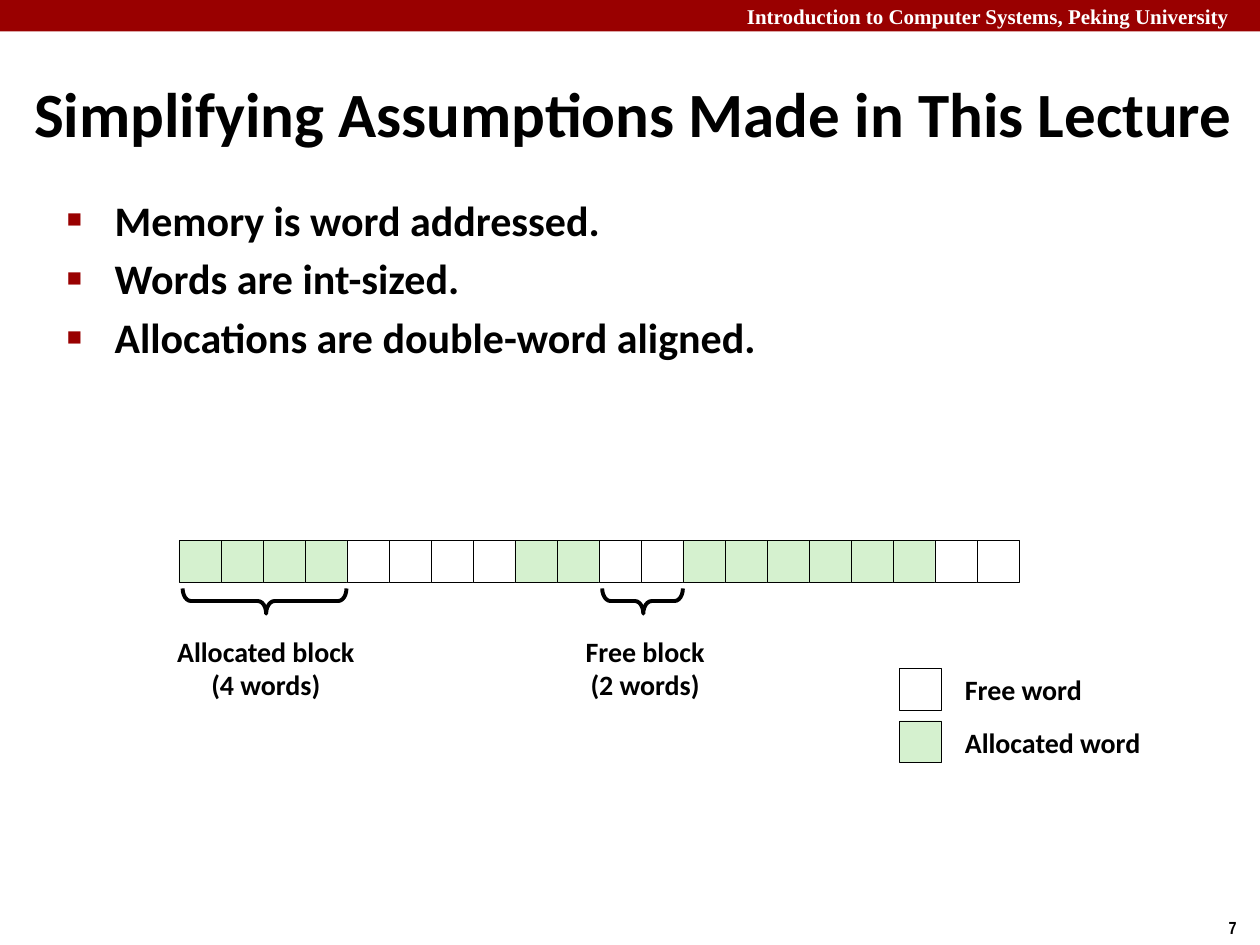
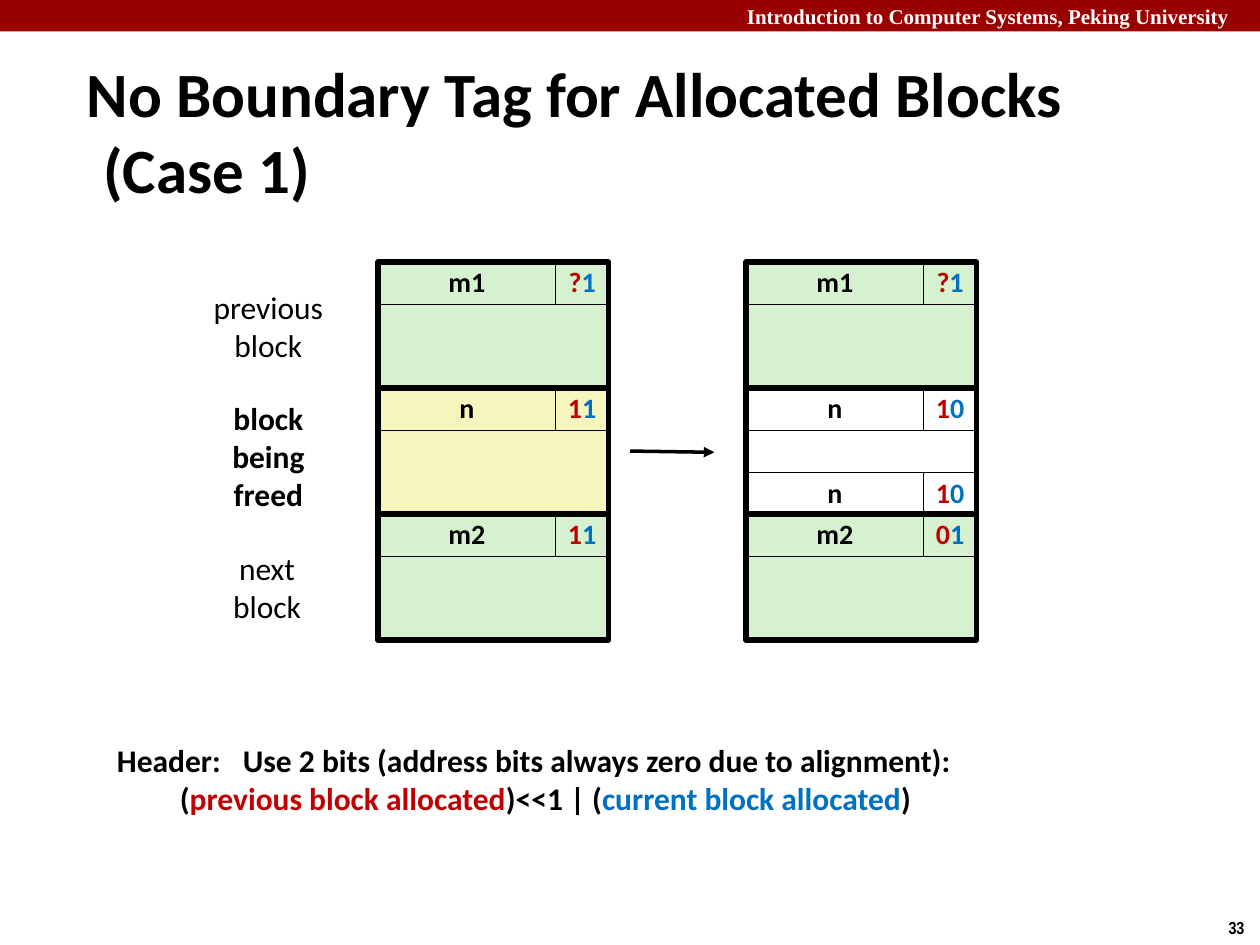
"""Build two lecture slides on memory allocation."""
from dataclasses import dataclass

from lxml import etree
from pptx import Presentation
from pptx.dml.color import RGBColor
from pptx.enum.shapes import MSO_CONNECTOR, MSO_SHAPE
from pptx.enum.text import MSO_ANCHOR, MSO_AUTO_SIZE, PP_ALIGN
from pptx.oxml.ns import qn
from pptx.util import Inches, Pt

BLACK, WHITE, CRIMSON = "000000", "FFFFFF", "990000"
GREEN, YELLOW = "D5F1CF", "F6F5BD"
PREVIOUS_BIT, CURRENT_BIT = "C00000", "0070C0"
WORD = 1 / 3
BLOCK_WIDTH, BLOCK_HEIGHT, TAG_WIDTH = 1.83, 1, 0.42
BLOCKS_TOP = 2.08


@dataclass(frozen=True)
class Box:
    left: float
    top: float
    width: float
    height: float

    def lengths(self):
        """Return the four measures as lengths."""
        return [Inches(v) for v in (self.left, self.top, self.width, self.height)]


@dataclass(frozen=True)
class Span:
    text: str
    color: str = BLACK


@dataclass(frozen=True)
class Block:
    size: str
    bits: str
    fill: str
    has_footer: bool = False


@dataclass(frozen=True)
class Caption:
    text: str
    box: Box
    bold: bool = True
    size: float = 18
    spacing: float = 1.0


def rgb(color: str) -> RGBColor:
    """Turn a hex string into a colour."""
    return RGBColor.from_string(color)


def add_spans(paragraph, spans, *, size, font, bold) -> None:
    """Fill a paragraph with coloured runs, breaking lines at newlines."""
    for span in spans:
        for i, line in enumerate(span.text.split("\n")):
            if i:
                paragraph.add_line_break()
            if line:
                run = paragraph.add_run()
                run.text = line
                run.font.size, run.font.name, run.font.bold = Pt(size), font, bold
                run.font.color.rgb = rgb(span.color)


def add_bullet(paragraph) -> None:
    """Give a paragraph a small crimson square bullet."""
    properties = paragraph._p.get_or_add_pPr()
    color = etree.SubElement(properties, qn("a:buClr"))
    etree.SubElement(color, qn("a:srgbClr"), val=CRIMSON)
    etree.SubElement(properties, qn("a:buSzPct"), val="60000")
    etree.SubElement(properties, qn("a:buChar"), char="■")


def write(frame, *paragraphs, size=16, font="Calibri", color=BLACK, bold=True,
          align=PP_ALIGN.LEFT, anchor=MSO_ANCHOR.TOP, spacing=1.0, before=0,
          hanging=0.0, bullet=False, inset=0.1) -> None:
    """Write paragraphs, each a string or a tuple of spans, into a frame."""
    frame.auto_size = MSO_AUTO_SIZE.NONE
    frame.word_wrap = align != PP_ALIGN.CENTER
    frame.vertical_anchor = anchor
    frame.margin_left = frame.margin_right = Inches(inset)
    frame.margin_top = frame.margin_bottom = Inches(inset / 2)
    for i, content in enumerate(paragraphs):
        paragraph = frame.add_paragraph() if i else frame.paragraphs[0]
        if bullet:
            add_bullet(paragraph)
        if hanging:
            properties = paragraph._p.get_or_add_pPr()
            properties.set("marL", str(Inches(hanging)))
            properties.set("indent", str(-Inches(hanging)))
        paragraph.alignment = align
        paragraph.line_spacing = spacing
        paragraph.space_before = Pt(before if i else 0)
        spans = (Span(content, color),) if isinstance(content, str) else content
        add_spans(paragraph, spans, size=size, font=font, bold=bold)


def add_text(slide, box: Box, *paragraphs, **text_format) -> None:
    """Add a text box."""
    write(slide.shapes.add_textbox(*box.lengths()).text_frame, *paragraphs, **text_format)


def add_box(slide, box: Box, fill=None, line=BLACK, weight=0.25,
            kind=MSO_SHAPE.RECTANGLE):
    """Add a flat preset shape."""
    shape = slide.shapes.add_shape(kind, *box.lengths())
    shape.shadow.inherit = False
    if fill:
        shape.fill.solid()
        shape.fill.fore_color.rgb = rgb(fill)
    else:
        shape.fill.background()
    if line:
        shape.line.color.rgb = rgb(line)
        shape.line.width = Pt(weight)
    else:
        shape.line.fill.background()
    return shape


def add_arrow(slide, start, end) -> None:
    """Add a line with an arrowhead at its end."""
    arrow = slide.shapes.add_connector(
        MSO_CONNECTOR.STRAIGHT, *(Inches(v) for v in (*start, *end)))
    arrow.line.color.rgb = rgb(BLACK)
    arrow.line.width = Pt(2)
    etree.SubElement(arrow.line._get_or_add_ln(), qn("a:tailEnd"), type="triangle")
    etree.SubElement(arrow._element.spPr, qn("a:effectLst"))


def add_caption(slide, caption: Caption) -> None:
    """Add a centred caption."""
    add_text(slide, caption.box, caption.text, size=caption.size, bold=caption.bold,
             spacing=caption.spacing, align=PP_ALIGN.CENTER)


def place(placeholder, box: Box) -> None:
    """Move a placeholder."""
    (placeholder.left, placeholder.top,
     placeholder.width, placeholder.height) = box.lengths()


def start_slide(deck, layout: int, title: str, title_box: Box, number: int):
    """Add a slide with its course band, title and number."""
    slide = deck.slides.add_slide(deck.slide_layouts[layout])
    add_box(slide, Box(0, 0, 10, 0.25), CRIMSON, line=None)
    add_text(slide, Box(5.83, 0, 4.17, 0.25),
             "Introduction to Computer Systems, Peking University",
             size=12, font="Times New Roman", color=WHITE, anchor=MSO_ANCHOR.MIDDLE)
    add_text(slide, Box(9.75, 7.28, 0.25, 0.2), str(number),
             size=10, font="Arial Narrow", inset=0)
    place(slide.shapes.title, title_box)
    write(slide.shapes.title.text_frame, title, size=36, hanging=0.13,
          anchor=MSO_ANCHOR.MIDDLE)
    return slide


def add_brace(slide, center: float, length: float) -> None:
    """Add a brace that opens upward under the memory words."""
    depth, middle = 0.2, 4.77
    brace = add_box(slide, Box(center - depth / 2, middle - length / 2, depth, length),
                    weight=2.25, kind=MSO_SHAPE.LEFT_BRACE)
    brace.rotation = 270
    brace.adjustments[0], brace.adjustments[1] = 0.33, 0.51


def add_row(slide, left: float, top: float, block: Block) -> None:
    """Add a size field and its pair of status bits."""
    size_width = BLOCK_WIDTH - TAG_WIDTH
    previous, current = block.bits
    fields = (
        (left, size_width, (Span(block.size),)),
        (left + size_width, TAG_WIDTH,
         (Span(previous, PREVIOUS_BIT), Span(current, CURRENT_BIT))),
    )
    for field_left, width, spans in fields:
        field = add_box(slide, Box(field_left, top, width, WORD), block.fill)
        write(field.text_frame, spans, align=PP_ALIGN.CENTER,
              anchor=MSO_ANCHOR.MIDDLE, spacing=0.98)


def add_blocks(slide, left: float, blocks: list[Block]) -> None:
    """Stack heap blocks from the top down."""
    for i, block in enumerate(blocks):
        top = BLOCKS_TOP + i * BLOCK_HEIGHT
        add_box(slide, Box(left, top + WORD, BLOCK_WIDTH, 2 * WORD), block.fill)
        add_row(slide, left, top, block)
        if block.has_footer:
            footer_top = top + 2 * WORD
            add_box(slide, Box(left, footer_top, BLOCK_WIDTH, WORD), block.fill)
            add_row(slide, left, footer_top, block)
        add_box(slide, Box(left, top, BLOCK_WIDTH, BLOCK_HEIGHT), weight=3)


def build_assumptions(deck) -> None:
    """Build the slide on the lecture's assumptions."""
    slide = start_slide(deck, 1, "Simplifying Assumptions Made in This Lecture",
                        Box(0.17, 0.48, 9.83, 0.83), 7)
    assumptions = slide.placeholders[1]
    place(assumptions, Box(0.43, 1.49, 8.64, 5.44))
    write(assumptions.text_frame, "Memory is word addressed.", "Words are int-sized.",
          "Allocations are double-word aligned.",
          size=24, before=4.8, hanging=0.38, bullet=True)

    word_fills = [GREEN] * 4 + [WHITE] * 4 + [GREEN] * 2 + [WHITE] * 2 \
        + [GREEN] * 6 + [WHITE] * 2
    for i, fill in enumerate(word_fills):
        add_box(slide, Box(1.42 + i * WORD, 4.29, WORD, WORD), fill)

    for caption in (
        Caption("Allocated block\n(4 words)", Box(1.3, 5, 1.62, 0.63), size=16, spacing=0.98),
        Caption("Free block\n(2 words)", Box(4.52, 5, 1.2, 0.63), size=16, spacing=0.98),
    ):
        add_caption(slide, caption)
    for i, (meaning, fill) in enumerate((("Free word", WHITE), ("Allocated word", GREEN))):
        top = 5.3 + i * 0.42
        add_box(slide, Box(7.14, top, WORD, WORD), fill)
        add_text(slide, Box(7.56, top, 1.7, 0.37), meaning, spacing=0.98)
    add_brace(slide, 2.1, 1.3)
    add_brace(slide, 5.1, 0.64)


def build_case_one(deck) -> None:
    """Build the slide on freeing a block between allocated ones."""
    slide = start_slide(deck, 5, "No Boundary Tag for Allocated Blocks\n(Case 1)",
                        Box(0.59, 0.72, 9.33, 0.63), 33)
    add_blocks(slide, 3, [Block("m1", "?1", GREEN), Block("n", "11", YELLOW),
                          Block("m2", "11", GREEN)])
    add_blocks(slide, 5.92, [Block("m1", "?1", GREEN), Block("n", "10", WHITE, True),
                             Block("m2", "01", GREEN)])
    add_arrow(slide, (5, 3.58), (5.67, 3.59))
    add_text(slide, Box(0.83, 5.83, 7.5, 0.71), (
        Span("Header:\tUse 2 bits (address bits always zero due to alignment):\n\t("),
        Span("previous block allocated", PREVIOUS_BIT),
        Span(")<<1 | ("),
        Span("current block allocated", CURRENT_BIT),
        Span(")"),
    ), size=18)
    for caption in (
        Caption("previous\nblock", Box(1.58, 2.24, 1.1, 0.71), bold=False),
        Caption("block\nbeing\nfreed", Box(1.74, 3.12, 0.78, 1.01)),
        Caption("next\nblock", Box(1.74, 4.31, 0.76, 0.71), bold=False),
    ):
        add_caption(slide, caption)


def main() -> None:
    """Build and save the deck."""
    deck = Presentation()
    deck.slide_width, deck.slide_height = Inches(10), Inches(7.5)
    build_assumptions(deck)
    build_case_one(deck)
    deck.save("out.pptx")


if __name__ == "__main__":
    main()
